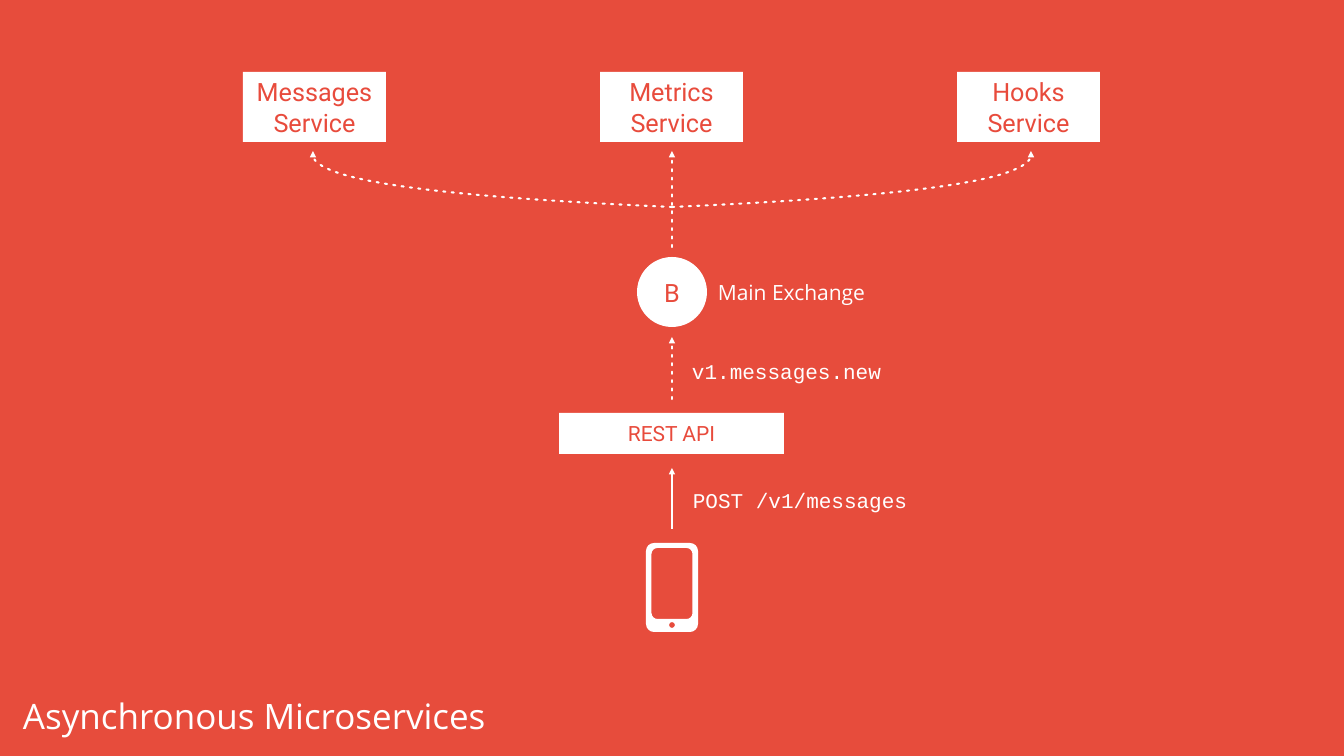
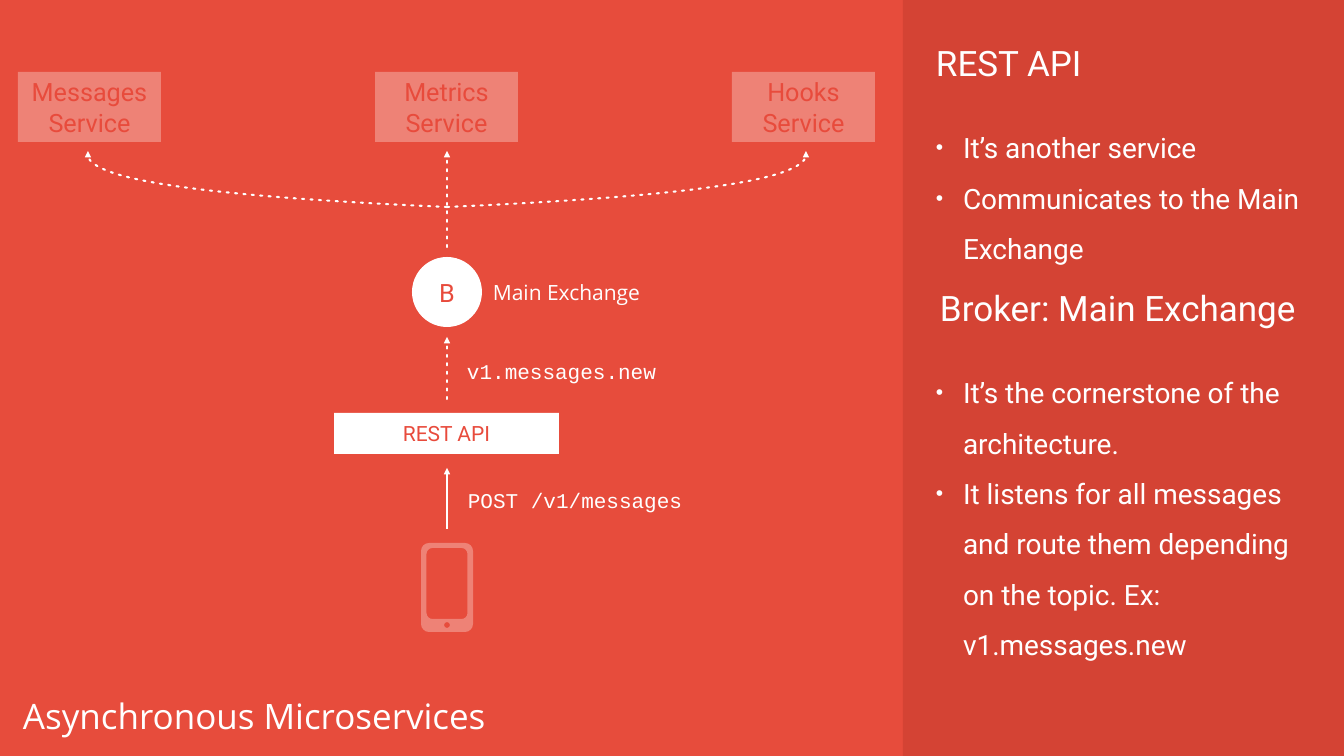
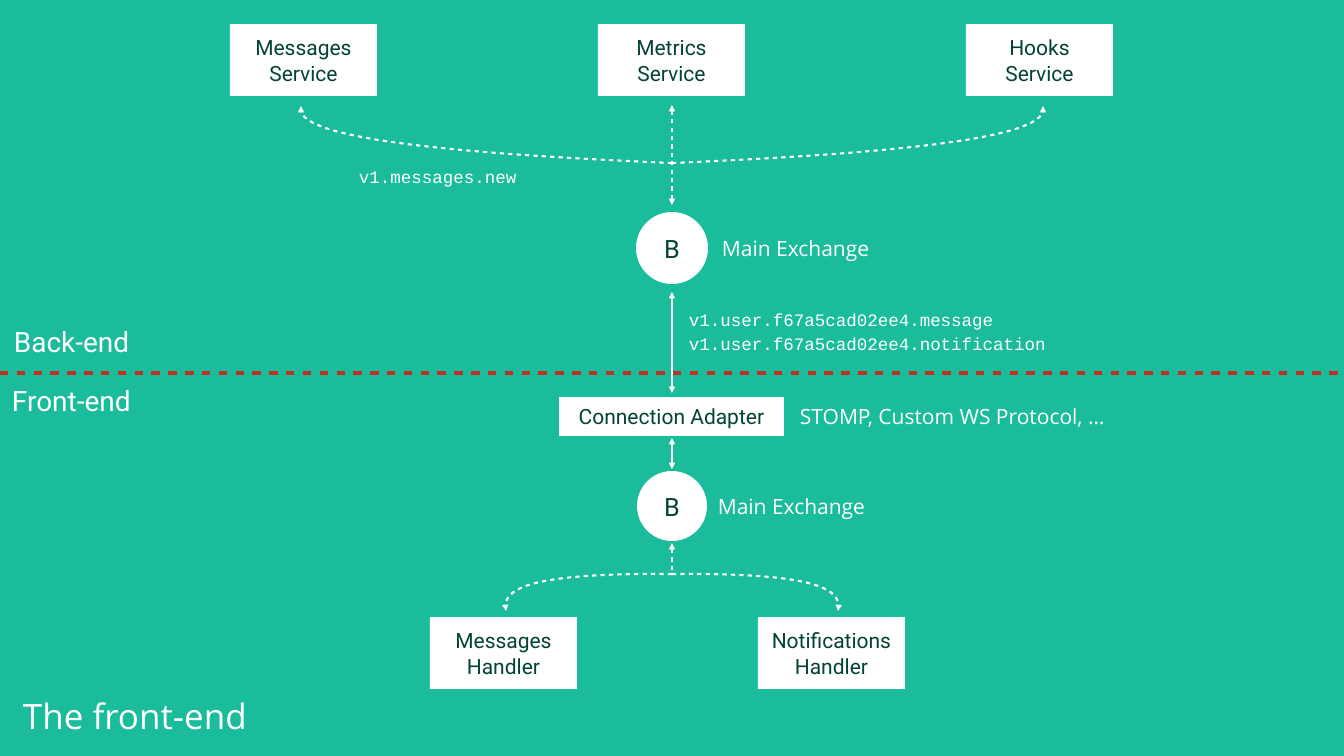
from dataclasses import dataclass
from typing import Optional

import lxml.etree
import pptx
import pptx.dml.color
import pptx.enum.shapes
import pptx.enum.text
import pptx.oxml.ns
import pptx.util

RGBColor = pptx.dml.color.RGBColor
SHAPE = pptx.enum.shapes.MSO_SHAPE
ALIGN = pptx.enum.text.PP_ALIGN
ANCHOR = pptx.enum.text.MSO_ANCHOR
qn = pptx.oxml.ns.qn

WHITE = RGBColor(0xFF, 0xFF, 0xFF)
RED = RGBColor(0xE7, 0x4C, 0x3C)
RED_TEXT = RGBColor(0xE8, 0x4B, 0x3C)
RED_PANEL = RGBColor(0xD4, 0x43, 0x34)
GREEN = RGBColor(0x1A, 0xBC, 0x9C)
GREEN_TEXT = RGBColor(0x03, 0x43, 0x36)
DIVIDER = RGBColor(0xBC, 0x32, 0x25)

SANS, HEAD, MONO = "Open Sans", "Roboto", "Courier New"
EMU_PER_PX = 914400 / 50.4
WIDTH, HEIGHT = 1344, 756
MIDDLE = WIDTH // 2
INSET = 3
FAINT = 30  # opacity of dimmed parts, percent
ARC = 0.55  # Bezier handle of a quarter circle, per radius


@dataclass(frozen=True)
class Dash:
    """Dash and gap lengths in percent of the line width."""
    on: int
    off: int
    cap: str


DOTS = Dash(200, 200, "rnd")
DASHES = Dash(200, 200, "flat")


@dataclass(frozen=True)
class Stroke:
    """Look of a line and its arrowheads."""
    dash: Optional[Dash] = None
    head: bool = False
    tail: bool = True
    color: RGBColor = WHITE
    width: float = 3


@dataclass(frozen=True)
class Node:
    """Filled shape with centred text."""
    x: int
    y: int
    w: int
    h: int
    text: str
    size: int
    color: RGBColor
    kind: int = SHAPE.RECTANGLE
    opacity: int = 100


@dataclass(frozen=True)
class Label:
    """Free text on the background."""
    x: int
    y: int
    w: int
    h: int
    text: str
    size: int = 30
    font: str = SANS
    align: int = ALIGN.LEFT
    wrap: bool = False


@dataclass(frozen=True)
class Fan:
    """Pair of mirrored curves: (distance from the axis, y) of the Bezier points."""
    points: tuple
    dash: Dash


@dataclass(frozen=True)
class Contour:
    """Outline: a start and segments of one point (line) or three (curve)."""
    start: tuple
    segments: list
    closed: bool


def px(n: float) -> int:
    """Turn pixels into EMU."""
    return round(n * EMU_PER_PX)


def add_xml(parent, tag: str, **attrs: str):
    """Append a DrawingML child element."""
    return lxml.etree.SubElement(parent, qn(tag), attrs)


def new_slide(prs, background: RGBColor, title: str, title_width: int):
    """Add a blank slide with its background and bottom-left title."""
    s = prs.slides.add_slide(prs.slide_layouts[6])
    s.background.fill.solid()
    s.background.fill.fore_color.rgb = background
    draw_label(s, Label(20, 692, title_width, 47, title, 50))
    return s


def style_text(tf, text: str, size: int, font: str, color: RGBColor, align: int) -> None:
    """Set the text of a frame, one paragraph a line, and format it."""
    tf.margin_left = tf.margin_right = tf.margin_top = tf.margin_bottom = px(INSET)
    tf.vertical_anchor = ANCHOR.MIDDLE
    tf.text = text
    for p in tf.paragraphs:
        p.alignment = align
        for r in p.runs:
            r.font.size = pptx.util.Pt(size)
            r.font.name = font
            r.font.color.rgb = color


def paint(sp, color: RGBColor, opacity: int = 100) -> None:
    """Fill a shape without line or shadow."""
    sp.shadow.inherit = False
    sp.line.fill.background()
    sp.fill.solid()
    sp.fill.fore_color.rgb = color
    if opacity < 100:
        clr = sp._element.spPr.find(qn("a:solidFill")).find(qn("a:srgbClr"))
        add_xml(clr, "a:alpha", val=str(opacity * 1000))


def draw_node(s, n: Node) -> None:
    """Draw a box or a circle with its text."""
    sp = s.shapes.add_shape(n.kind, px(n.x), px(n.y), px(n.w), px(n.h))
    paint(sp, WHITE, n.opacity)
    sp.text_frame.word_wrap = True
    style_text(sp.text_frame, n.text, n.size, HEAD, n.color, ALIGN.CENTER)


def draw_broker(s, cx: int, y: int, d: int, color: RGBColor) -> None:
    """Draw the round broker mark."""
    draw_node(s, Node(cx - d // 2, y, d, d, "B", 36, color, SHAPE.OVAL))


def draw_label(s, n: Label) -> None:
    """Draw a white text box."""
    sp = s.shapes.add_textbox(px(n.x), px(n.y), px(n.w), px(n.h))
    sp.text_frame.word_wrap = n.wrap
    style_text(sp.text_frame, n.text, n.size, n.font, WHITE, n.align)


def draw_bullets(s, y: int, h: int, items: list) -> None:
    """Draw a bulleted list in the side panel."""
    tf = s.shapes.add_textbox(px(936), px(y), px(376), px(h)).text_frame
    style_text(tf, "\n".join(items), 40, HEAD, WHITE, ALIGN.LEFT)
    tf.word_wrap = True
    tf.vertical_anchor = ANCHOR.TOP
    tf.margin_left = tf.margin_right = tf.margin_top = tf.margin_bottom = 0
    for p in tf.paragraphs:
        p.line_spacing = 1.5
        pPr = p._p.get_or_add_pPr()
        pPr.set("marL", str(px(27)))
        pPr.set("indent", str(-px(27)))
        add_xml(add_xml(pPr, "a:buClr"), "a:srgbClr", val=str(WHITE))
        add_xml(pPr, "a:buSzPct", val="75000")
        add_xml(pPr, "a:buFont", typeface="Arial")
        add_xml(pPr, "a:buChar", char="•")


def style_line(sp, stroke: Stroke) -> None:
    """Set colour, width, dash and arrowheads of a line."""
    sp.line.color.rgb = stroke.color
    sp.line.width = pptx.util.Pt(stroke.width)
    spPr = sp._element.spPr
    ln = spPr.find(qn("a:ln"))
    if stroke.dash:
        ln.set("cap", stroke.dash.cap)
        add_xml(add_xml(ln, "a:custDash"), "a:ds",
                d=str(stroke.dash.on * 1000), sp=str(stroke.dash.off * 1000))
    if stroke.head:
        add_xml(ln, "a:headEnd", type="triangle")
    if stroke.tail:
        add_xml(ln, "a:tailEnd", type="triangle")
    add_xml(spPr, "a:effectLst")


def draw_line(s, x1: int, y1: int, x2: int, y2: int, stroke: Stroke) -> None:
    """Draw a straight connector."""
    sp = s.shapes.add_connector(pptx.enum.shapes.MSO_CONNECTOR.STRAIGHT,
                                px(x1), px(y1), px(x2), px(y2))
    style_line(sp, stroke)


def draw_outline(s, contours: list):
    """Build a freeform from end points, then bend its curved segments."""
    fb = None
    for c in contours:
        x, y = px(c.start[0]), px(c.start[1])
        if fb is None:
            fb = s.shapes.build_freeform(x, y, scale=1.0)
        else:
            fb.move_to(x, y)
        ends = [seg[-1] for seg in c.segments]
        fb.add_line_segments([(px(ex), px(ey)) for ex, ey in ends], close=c.closed)
    sp = fb.convert_to_shape()
    lines = list(sp._element.spPr.iter(qn("a:lnTo")))
    segments = [seg for c in contours for seg in c.segments]
    for line, seg in zip(lines, segments):
        if len(seg) == 3:
            curve = lxml.etree.Element(qn("a:cubicBezTo"))
            for x, y in seg:
                add_xml(curve, "a:pt", x=str(px(x) - sp.left), y=str(px(y) - sp.top))
            line.getparent().replace(line, curve)
    return sp


def draw_fan(s, cx: int, fan: Fan) -> None:
    """Draw two mirrored curves that leave the axis and end in arrows."""
    for side in (-1, 1):
        start, *curve = [(cx + side * dx, y) for dx, y in fan.points]
        sp = draw_outline(s, [Contour(start, [curve], closed=False)])
        sp.fill.background()
        style_line(sp, Stroke(fan.dash))


def rounded_outline(cx: int, y: int, w: int, h: int, radius: int) -> Contour:
    """Return a rounded rectangle centred on cx."""
    left, right, bottom = cx - w / 2, cx + w / 2, y + h
    corners = [((right, y), (1, 0), (0, 1)), ((right, bottom), (0, 1), (-1, 0)),
               ((left, bottom), (-1, 0), (0, -1)), ((left, y), (0, -1), (1, 0))]
    start = (left + radius, y)
    last, segments = start, []
    for (x, y0), (ax, ay), (bx, by) in corners:
        near = radius * (1 - ARC)
        enter = (x - ax * radius, y0 - ay * radius)
        if enter != last:
            segments.append([enter])
        last = (x + bx * radius, y0 + by * radius)
        segments.append([(x - ax * near, y0 - ay * near),
                         (x + bx * near, y0 + by * near), last])
    return Contour(start, segments, closed=True)


def draw_phone(s, cx: int, opacity: int) -> None:
    """Draw a phone: a body with holes for the screen and the button."""
    body = rounded_outline(cx, 543, 52, 89, 8)
    screen = rounded_outline(cx, 548, 41, 71, 6)
    button = rounded_outline(cx, 622, 6, 6, 3)
    paint(draw_outline(s, [body, screen, button]), WHITE, opacity)


def draw_services(s, cx: int, y: int, w: int, h: int, step: int, size: int,
                  color: RGBColor, opacity: int = 100) -> None:
    """Draw the row of three services around the axis."""
    for i, name in enumerate(("Messages", "Metrics", "Hooks")):
        x = cx + (i - 1) * step - (w + 1) // 2
        draw_node(s, Node(x, y, w, h, f"{name}\nService", size, color, opacity=opacity))


def draw_flow(s, cx: int, opacity: int = 100) -> None:
    """Draw the path from the phone to the services, dimming both ends."""
    draw_phone(s, cx, opacity)
    draw_services(s, cx, 72, 143, 70, 357, 36, RED_TEXT, opacity)
    draw_broker(s, cx, 257, 70, RED_TEXT)
    draw_node(s, Node(cx - 113, 413, 225, 41, "REST API", 30, RED_TEXT))
    for y1, y2, dash in ((529, 468, None), (399, 337, DOTS), (247, 151, DOTS)):
        draw_line(s, cx, y1, cx, y2, Stroke(dash))
    draw_fan(s, cx, Fan(((0, 207), (249, 196), (369, 177), (359, 151)), DOTS))
    for dx, y, w, text, font in (
        (16, 485, 224, "POST /v1/messages", MONO),
        (15, 356, 199, "v1.messages.new", MONO),
        (41, 277, 157, "Main Exchange", SANS),
    ):
        draw_label(s, Label(cx + dx, y, w, 31, text, 30, font, ALIGN.CENTER))


def build_overview(prs) -> None:
    """Slide 1: the whole flow."""
    s = new_slide(prs, RED, "Asynchronous Microservices", 472)
    draw_flow(s, MIDDLE)


def build_broker_notes(prs) -> None:
    """Slide 2: the flow moved left, with a panel of notes."""
    s = new_slide(prs, RED, "Asynchronous Microservices", 472)
    draw_flow(s, 447, FAINT)
    panel = s.shapes.add_shape(SHAPE.RECTANGLE, px(903), 0, px(WIDTH - 903), px(HEIGHT))
    paint(panel, RED_PANEL)
    draw_label(s, Label(933, 39, 162, 47, "REST API", 50, HEAD))
    draw_bullets(s, 114, 135, ["It’s another service",
                               "Communicates to the Main Exchange"])
    draw_label(s, Label(937, 284, 369, 47, "Broker: Main Exchange", 50, HEAD))
    draw_bullets(s, 359, 285, [
        "It’s the cornerstone of the architecture.",
        "It listens for all messages and route them depending on the topic. "
        "Ex: v1.messages.new",
    ])


def build_front_end(prs) -> None:
    """Slide 3: back-end and front-end on both sides of a divider."""
    s = new_slide(prs, GREEN, "The front-end", 234)
    draw_services(s, MIDDLE, 24, 147, 72, 368, 30, GREEN_TEXT)
    draw_broker(s, MIDDLE, 212, 72, GREEN_TEXT)
    draw_broker(s, MIDDLE, 471, 70, GREEN_TEXT)
    draw_node(s, Node(559, 397, 225, 39, "Connection Adapter", 30, GREEN_TEXT))
    for i, text in enumerate(("Messages\nHandler", "Notifications Handler")):
        draw_node(s, Node(430 + i * 328, 617, 147, 72, text, 30, GREEN_TEXT))

    for y1, y2, stroke in (
        (393, 292, Stroke(head=True)),
        (205, 105, Stroke(DASHES, head=True)),
        (469, 438, Stroke(head=True)),
        (543, 575, Stroke(DASHES, head=True, tail=False)),
    ):
        draw_line(s, MIDDLE, y1, MIDDLE, y2, stroke)
    draw_fan(s, MIDDLE, Fan(((0, 163), (257, 152), (381, 133), (371, 106)), DASHES))
    draw_fan(s, MIDDLE, Fan(((0, 574), (119, 573), (174, 585), (166, 611)), DASHES))
    draw_line(s, 0, 373, WIDTH, 373, Stroke(DASHES, tail=False, color=DIVIDER, width=6))

    for label in (
        Label(356, 162, 178, 29, "v1.messages.new", 25, MONO, wrap=True),
        Label(719, 231, 225, 35, "Main Exchange", wrap=True),
        Label(713, 491, 157, 31, "Main Exchange", align=ALIGN.CENTER),
        Label(797, 401, 318, 31, "STOMP, Custom WS Protocol, …"),
        Label(11, 322, 124, 39, "Back-end", 40, HEAD),
        Label(9, 381, 127, 39, "Front-end", 40, HEAD),
    ):
        draw_label(s, label)
    for i, topic in enumerate(("message", "notification")):
        draw_label(s, Label(686, 305 + i * 24, 478, 29, f"v1.user.f67a5cad02ee4.{topic}",
                            25, MONO, wrap=True))


def main() -> None:
    """Build and save the presentation."""
    prs = pptx.Presentation()
    prs.slide_width, prs.slide_height = px(WIDTH), px(HEIGHT)
    build_overview(prs)
    build_broker_notes(prs)
    build_front_end(prs)
    prs.save("out.pptx")


main()
